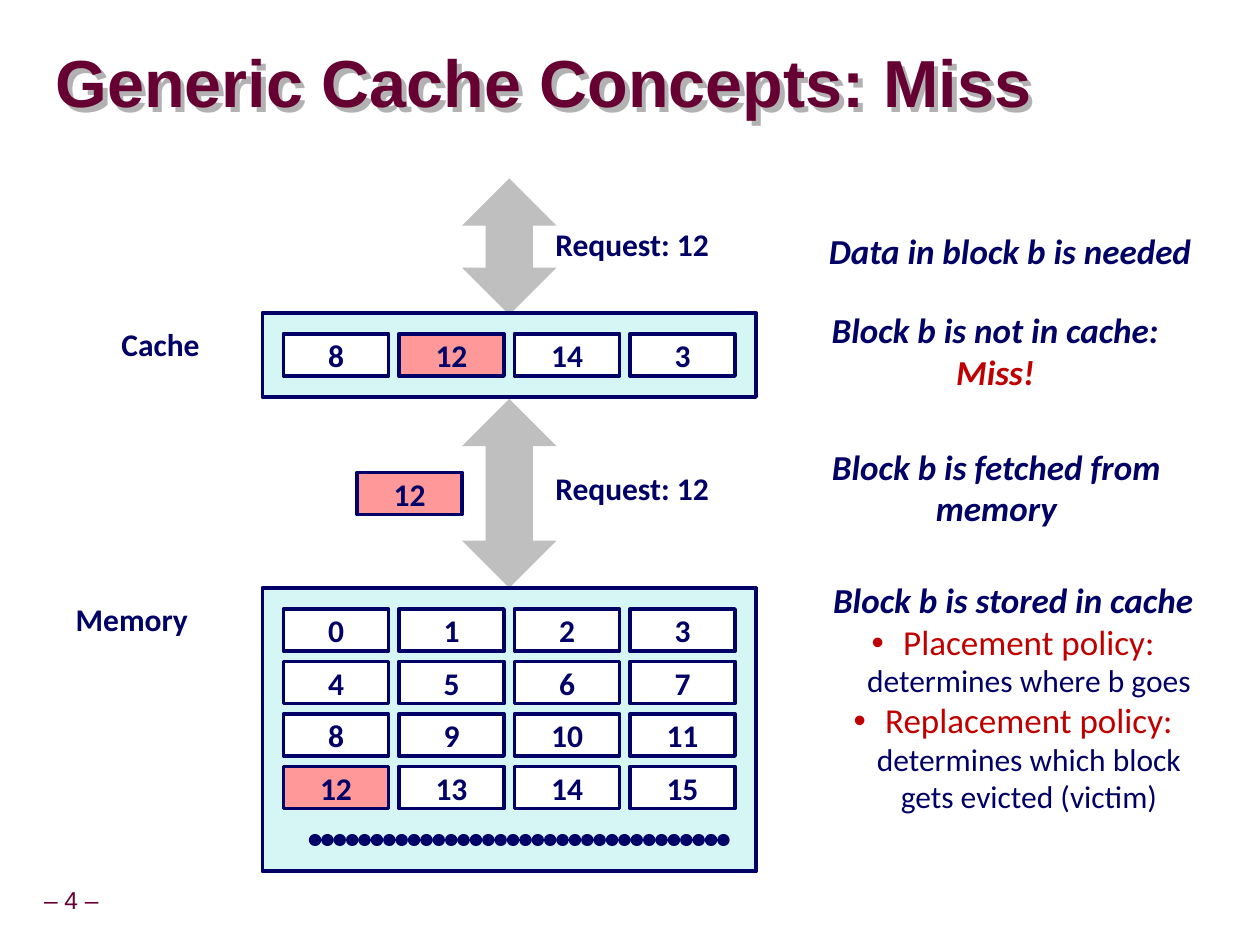
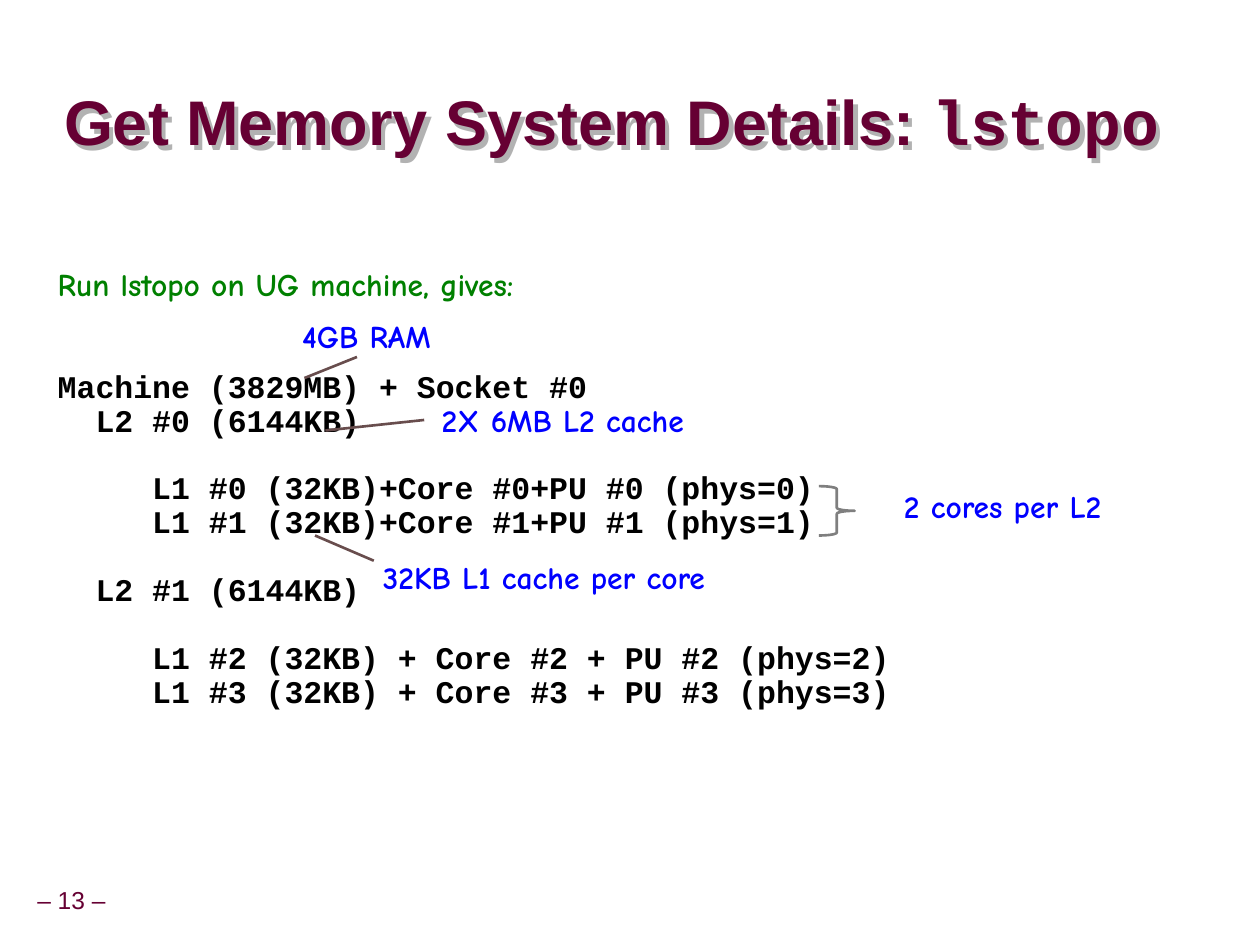
from dataclasses import dataclass

from lxml.etree import SubElement
from pptx import Presentation
from pptx.dml.color import RGBColor
from pptx.enum.shapes import MSO_CONNECTOR as CONN, MSO_SHAPE as SHAPE
from pptx.enum.text import MSO_ANCHOR as ANCHOR, MSO_AUTO_SIZE as FIT, PP_ALIGN as ALIGN
from pptx.oxml.ns import qn
from pptx.util import Emu, Pt

PX = 7620  # EMU per px, 120 px to the inch


@dataclass(frozen=True)
class Style:
    size: int
    font: str
    color: str
    bold: bool = False
    italic: bool = False


class Theme:
    maroon, navy, red, blue = "660033", "000066", "C00000", "0000FF"
    white, panel, hot, arrow = "FFFFFF", "D6F5F5", "FF9999", "BFBFBF"
    pointer, brace, shadow = "684D4D", "7F7F7F", "B2B2B2"
    border, thin, dots = 2.25, 1.5, 7
    title_spacing, label_spacing, note_spacing, code_pitch = 0.87, 0.9, 0.98, 19.4
    styles = {
        "title": Style(38, "Arial", maroon, True),
        "title_small": Style(36, "Arial", maroon, True),
        "title_code": Style(36, "Courier New", maroon, True),
        "page": Style(14, "Arial", maroon),
        "label": Style(18, "Calibri", navy, True),
        "step": Style(20, "Calibri", navy, True, True),
        "miss": Style(20, "Calibri", red, True, True),
        "policy": Style(20, "Calibri", red),
        "detail": Style(18, "Calibri", navy),
        "intro": Style(18, "Comic Neue", "008000", True),
        "code": Style(18, "Courier New", "000000", True),
        "callout": Style(18, "Comic Neue", blue, True),
    }


# ---- Content: slide "Miss" ----
MISS_TITLE = [("Generic Cache Concepts: Miss", "title")]
REQUESTED = 12
CACHE_BLOCKS = [8, 12, 14, 3]
MEMORY_BLOCKS = list(range(16))
COLUMNS = 4
CELL_W, CELL_H, CELL_GAP = 100, 40, 10
PANEL_X, PANEL_W, PANEL_PAD = 250, 470, 20
CACHE_Y, CACHE_H, MEMORY_Y, MEMORY_H = 298, 80, 560, 270
BUS_ARROWS = [(440, 170, 90, 130), (440, 380, 90, 180)]
FETCHED_AT = (340, 450)
ELLIPSIS = (300, 800, 700, 800)
MISS_LABELS = [
    ("Cache", (104, 308, 98, 44)),
    ("Memory", (60, 570, 131, 44)),
    ("Request: 12", (516, 212, 172, 44)),
    ("Request: 12", (516, 445, 172, 44)),
]
# box, then plain paragraphs, then bulleted ones
STEPS = [
    ((777, 214, 370, 52), [[("Data in block b is needed", "step")]], []),
    ((780, 290, 336, 91),
     [[("Block b is not in cache:", "step")], [("Miss!", "miss")]], []),
    ((780, 420, 338, 91),
     [[("Block b is fetched from", "step")], [("memory", "step")]], []),
    ((781, 547, 368, 236), [[("Block b is stored in cache", "step")]],
     [[("Placement policy:\n", "policy"), ("determines where b goes", "detail")],
      [("Replacement policy:\n", "policy"),
       ("determines which block\ngets evicted (victim)", "detail")]]),
]

# ---- Content: slide "lstopo" ----
LSTOPO_TITLE = [("Get Memory System Details: ", "title_small"), ("lstopo", "title_code")]
LISTING_BOX = (55, 250, 1012, 498)
CHAR_W = 18
# text, style, indent in characters, empty lines above
LISTING = [
    ("Run lstopo on UG machine, gives:", "intro", 0, 0),
    ("Machine (3829MB) + Socket #0", "code", 0, 2),
    ("L2 #0 (6144KB)", "code", 2, 0),
    ("L1 #0 (32KB)+Core #0+PU #0 (phys=0)", "code", 5, 1),
    ("L1 #1 (32KB)+Core #1+PU #1 (phys=1)", "code", 5, 0),
    ("L2 #1 (6144KB)", "code", 2, 1),
    ("L1 #2 (32KB) + Core #2 + PU #2 (phys=2)", "code", 5, 1),
    ("L1 #3 (32KB) + Core #3 + PU #3 (phys=3)", "code", 5, 0),
]
CALLOUTS = [
    ("4GB RAM", (276, 300, 146, 44)),
    ("2X 6MB L2 cache", (409, 380, 254, 44)),
    ("32KB L1 cache per core", (352, 530, 332, 44)),
    ("2 cores per L2", (848, 462, 214, 44)),
]
POINTERS = [(290, 360, 340, 340), (404, 400, 310, 410), (300, 510, 356, 534)]
CORES_BRACE = (780, 463, 34, 47)
PAGE_BOX = (3, 840, 130, 37)


# ---- Helpers ----
def px(*values):
    return [Emu(v * PX) for v in values]


def rgb(color):
    return RGBColor.from_string(color)


def add_runs(p, runs):
    """Write (text, style) runs; a newline in the text is a line break."""
    for text, name in runs:
        style = Theme.styles[name]
        for i, part in enumerate(text.split("\n")):
            if i:
                p.add_line_break()
            if not part:
                continue
            r = p.add_run()
            r.text = part
            f = r.font
            f.size, f.name = Pt(style.size), style.font
            f.bold, f.italic = style.bold, style.italic
            f.color.rgb = rgb(style.color)


def fill_frame(tf, paragraphs, align=ALIGN.CENTER, spacing=None):
    """Write one paragraph per list of runs and return the paragraphs."""
    for i, runs in enumerate(paragraphs):
        p = tf.add_paragraph() if i else tf.paragraphs[0]
        p.alignment, p.line_spacing = align, spacing
        add_runs(p, runs)
    return list(tf.paragraphs)


def add_text(s, box, paragraphs, anchor=ANCHOR.TOP, wrap=False, **layout):
    tf = s.shapes.add_textbox(*px(*box)).text_frame
    tf.margin_left = tf.margin_right = 0
    tf.word_wrap, tf.vertical_anchor = wrap, anchor
    return fill_frame(tf, paragraphs, **layout)


def add_labels(s, labels, style):
    for text, box in labels:
        add_text(s, box, [[(text, style)]], spacing=Theme.label_spacing)


def add_shape(s, kind, box, fill=None, line=None, width=Theme.border):
    sp = s.shapes.add_shape(kind, *px(*box))
    sp.shadow.inherit = False
    if fill:
        sp.fill.solid()
        sp.fill.fore_color.rgb = rgb(fill)
    else:
        sp.fill.background()
    if line:
        sp.line.color.rgb, sp.line.width = rgb(line), Pt(width)
    else:
        sp.line.fill.background()
    return sp


def add_line(s, ends, color, width):
    cx = s.shapes.add_connector(CONN.STRAIGHT, *px(*ends))
    cx.line.color.rgb, cx.line.width = rgb(color), Pt(width)
    SubElement(cx._element.spPr, qn("a:effectLst"))
    return cx


def make_dotted(cx):
    ln = cx.line._get_or_add_ln()
    ln.set("cap", "rnd")
    dash = SubElement(ln, qn("a:custDash"))
    SubElement(dash, qn("a:ds"), d="100000", sp="1000")


def add_bullet(p, hang=30):
    pPr = p._p.get_or_add_pPr()
    pPr.set("marL", str(hang * PX))
    pPr.set("indent", str(-hang * PX))
    SubElement(SubElement(pPr, qn("a:buClr")), qn("a:srgbClr"), val=Theme.red)
    SubElement(pPr, qn("a:buFont"), typeface="Arial")
    SubElement(pPr, qn("a:buChar"), char="•")


def add_title_shadow(sp):
    """With no fill or line, the shadow falls from the letters."""
    sp.fill.background()
    sp.line.fill.background()
    effects = SubElement(sp._element.spPr, qn("a:effectLst"))
    shadow = SubElement(effects, qn("a:outerShdw"), dist=str(6 * PX), dir="2700000",
                        algn="ctr", rotWithShape="0")
    SubElement(shadow, qn("a:srgbClr"), val=Theme.shadow)


def start_slide(prs, title, box, number):
    """Slide with the shared title style and page number."""
    s = prs.slides.add_slide(prs.slide_layouts[5])
    sp = s.shapes.title
    sp.left, sp.top, sp.width, sp.height = px(*box)
    tf = sp.text_frame
    tf.margin_left = tf.margin_right = tf.margin_top = tf.margin_bottom = 0
    tf.word_wrap, tf.auto_size, tf.vertical_anchor = True, FIT.NONE, ANCHOR.MIDDLE
    fill_frame(tf, [title], ALIGN.LEFT, Theme.title_spacing)
    add_title_shadow(sp)
    add_text(s, PAGE_BOX, [[(f"– {number} –", "page")]], ANCHOR.MIDDLE,
             spacing=Theme.label_spacing)
    return s


def add_block(s, x, y, value):
    fill = Theme.hot if value == REQUESTED else Theme.white
    sp = add_shape(s, SHAPE.RECTANGLE, (x, y, CELL_W, CELL_H), fill, Theme.navy)
    sp.text_frame.vertical_anchor = ANCHOR.MIDDLE
    fill_frame(sp.text_frame, [[(str(value), "label")]])


def add_panel(s, y, height, blocks):
    """Panel with its blocks laid out in rows of COLUMNS."""
    add_shape(s, SHAPE.RECTANGLE, (PANEL_X, y, PANEL_W, height), Theme.panel, Theme.navy)
    for i, value in enumerate(blocks):
        row, col = divmod(i, COLUMNS)
        add_block(s, PANEL_X + PANEL_PAD + col * (CELL_W + CELL_GAP),
                  y + PANEL_PAD + row * (CELL_H + CELL_GAP), value)


# ---- Slides ----
def build_miss(prs):
    s = start_slide(prs, MISS_TITLE, (53, 32, 1144, 102), 4)
    for box in BUS_ARROWS:
        add_shape(s, SHAPE.UP_DOWN_ARROW, box, Theme.arrow)
    add_panel(s, MEMORY_Y, MEMORY_H, MEMORY_BLOCKS)
    add_panel(s, CACHE_Y, CACHE_H, CACHE_BLOCKS)
    make_dotted(add_line(s, ELLIPSIS, Theme.navy, Theme.dots))
    add_block(s, *FETCHED_AT, REQUESTED)
    add_labels(s, MISS_LABELS, "label")
    for box, plain, bulleted in STEPS:
        ps = add_text(s, box, plain + bulleted, ANCHOR.MIDDLE, spacing=Theme.note_spacing)
        for p in ps[len(plain):]:
            add_bullet(p)


def build_lstopo(prs):
    s = start_slide(prs, LSTOPO_TITLE, (61, 32, 1070, 176), 13)
    lines = [[(text, style)] for text, style, _, _ in LISTING]
    ps = add_text(s, LISTING_BOX, lines, wrap=True, align=ALIGN.LEFT,
                  spacing=Pt(Theme.code_pitch))
    for p, (_, _, indent, gap) in zip(ps, LISTING):
        p.space_before = Pt(gap * Theme.code_pitch)
        p._p.get_or_add_pPr().set("marL", str(indent * CHAR_W * PX))
    for ends in POINTERS:
        add_line(s, ends, Theme.pointer, Theme.thin)
    add_shape(s, SHAPE.RIGHT_BRACE, CORES_BRACE, line=Theme.brace, width=Theme.thin)
    add_labels(s, CALLOUTS, "callout")


def main():
    prs = Presentation()
    prs.slide_width, prs.slide_height = px(1200, 900)
    build_miss(prs)
    build_lstopo(prs)
    prs.save("out.pptx")


if __name__ == "__main__":
    main()
